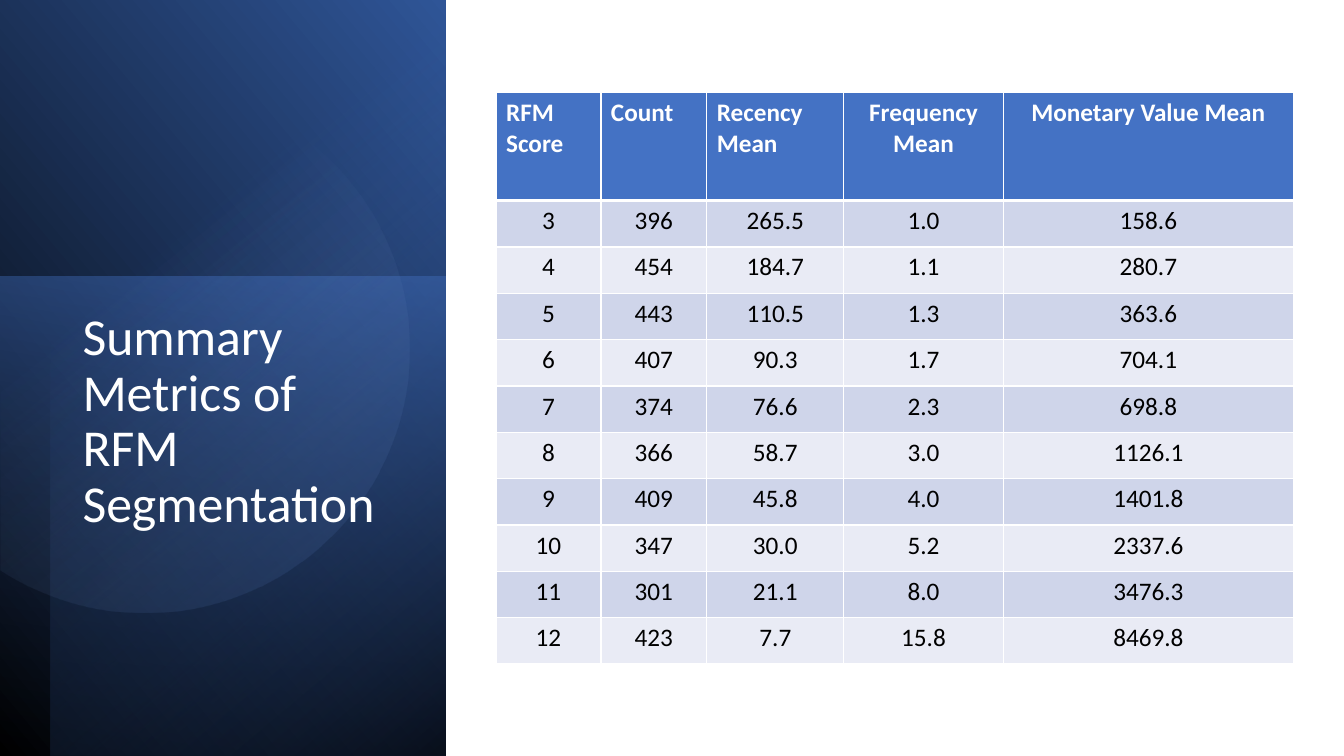
from math import acos, cos, radians, sin

from lxml.etree import SubElement
from pptx import Presentation
from pptx.dml.color import RGBColor
from pptx.enum.shapes import MSO_SHAPE
from pptx.enum.text import MSO_ANCHOR, PP_ALIGN
from pptx.oxml.ns import qn
from pptx.util import Inches, Pt

FONT = "Calibri"
COLORS = {
    "black": "000000", "white": "FFFFFF", "blue": "4472C4", "deep": "2F5597",
    "navy": "203864", "sky": "8FAADC", "band_dark": "CFD5EA", "band_light": "E9EBF5",
}
HEADERS = ["RFM Score", "Count", "Recency Mean", "Frequency Mean", "Monetary Value Mean"]
ROWS = [
    ("3", "396", "265.5", "1.0", "158.6"),
    ("4", "454", "184.7", "1.1", "280.7"),
    ("5", "443", "110.5", "1.3", "363.6"),
    ("6", "407", "90.3", "1.7", "704.1"),
    ("7", "374", "76.6", "2.3", "698.8"),
    ("8", "366", "58.7", "3.0", "1126.1"),
    ("9", "409", "45.8", "4.0", "1401.8"),
    ("10", "347", "30.0", "5.2", "2337.6"),
    ("11", "301", "21.1", "8.0", "3476.3"),
    ("12", "423", "7.7", "15.8", "8469.8"),
]
COL_WIDTHS = [1.04, 1.05, 1.36, 1.58, 2.88]
HEADER_HEIGHT, ROW_HEIGHT = 1.07, 0.46


def rgb(name):
    return RGBColor.from_string(COLORS[name])


def add_color(parent, name, alpha=100):
    color = SubElement(parent, qn("a:srgbClr"), val=COLORS[name])
    if alpha < 100:
        SubElement(color, qn("a:alpha"), val=str(alpha * 1000))


def style_gradient(sp, stops, angle):
    sp.shadow.inherit = False
    sp.line.fill.background()
    sp.fill.gradient()
    grad = sp.fill._xPr.find(qn("a:gradFill"))
    for child in list(grad):
        grad.remove(child)
    stop_list = SubElement(grad, qn("a:gsLst"))
    for pos, name, alpha in stops:
        add_color(SubElement(stop_list, qn("a:gs"), pos=str(pos * 1000)), name, alpha)
    SubElement(grad, qn("a:lin"), ang=str(angle * 60000), scaled="0")


def add_gradient_rect(s, box, rotation, stops, angle, flip=False):
    sp = s.shapes.add_shape(MSO_SHAPE.RECTANGLE, *map(Inches, box))
    sp.rotation = rotation
    if flip:
        sp._element.spPr.find(qn("a:xfrm")).set("flipH", "1")
    style_gradient(sp, stops, angle)


def add_cut_circle(s, center, radius, pivot, rotation, stops, angle):
    cx, cy = center
    px, py = pivot
    turn = radians(rotation)
    half_arc = acos(-cx / radius)
    steps = 120
    points = []
    for i in range(steps + 1):
        a = half_arc * (2 * i / steps - 1)
        dx, dy = cx + radius * cos(a) - px, cy + radius * sin(a) - py
        points.append((Inches(px + dx * cos(turn) + dy * sin(turn)),
                       Inches(py - dx * sin(turn) + dy * cos(turn))))
    builder = s.shapes.build_freeform(*points[0])
    builder.add_line_segments(points[1:], close=True)
    sp = builder.convert_to_shape()
    sp.rotation = rotation
    style_gradient(sp, stops, angle)


def add_title(s, text, box):
    tf = s.shapes.add_textbox(*map(Inches, box)).text_frame
    tf.word_wrap = True
    tf.vertical_anchor = MSO_ANCHOR.TOP
    p = tf.paragraphs[0]
    p.text = text
    p.line_spacing = 0.9
    p.font.name, p.font.size = FONT, Pt(37)
    p.font.color.rgb = rgb("white")


def set_borders(cell, widths):
    tc_pr = cell._tc.get_or_add_tcPr()
    for i, (side, width) in enumerate(widths.items()):
        ln = SubElement(tc_pr, qn(f"a:ln{side}"), w=str(Pt(width)))
        add_color(SubElement(ln, qn("a:solidFill")), "white")
        tc_pr.insert(i, ln)


def fill_cell(cell, text, fill, color, bold, align, widths):
    cell.fill.solid()
    cell.fill.fore_color.rgb = rgb(fill)
    p = cell.text_frame.paragraphs[0]
    p.text = text
    p.alignment = align
    p.font.name, p.font.size, p.font.bold = FONT, Pt(18), bold
    p.font.color.rgb = rgb(color)
    set_borders(cell, widths)


def add_metrics_table(s, left, top):
    height = HEADER_HEIGHT + ROW_HEIGHT * len(ROWS)
    table = s.shapes.add_table(len(ROWS) + 1, len(HEADERS), Inches(left), Inches(top),
                               Inches(sum(COL_WIDTHS)), Inches(height)).table
    for col, width in zip(table.columns, COL_WIDTHS):
        col.width = Inches(width)
    for i, row in enumerate(table.rows):
        row.height = Inches(ROW_HEIGHT if i else HEADER_HEIGHT)
    for c, text in enumerate(HEADERS):
        align = PP_ALIGN.LEFT if c < 3 else PP_ALIGN.CENTER
        fill_cell(table.cell(0, c), text, "blue", "white", True, align,
                  {"L": 1, "R": 1, "T": 1, "B": 3})
    for r, values in enumerate(ROWS, 1):
        band = "band_dark" if r % 2 else "band_light"
        for c, text in enumerate(values):
            fill_cell(table.cell(r, c), text, band, "black", False, PP_ALIGN.CENTER,
                      {"L": 1, "R": 1, "T": 3 if r == 1 else 1, "B": 1})


def main():
    prs = Presentation()
    prs.slide_width, prs.slide_height = Inches(13.33), Inches(7.5)
    s = prs.slides.add_slide(prs.slide_layouts[6])
    add_gradient_rect(s, (-1.55, 1.55, 7.52, 4.42), 90,
                      [(0, "black", 100), (100, "deep", 100)], 310, flip=True)
    add_gradient_rect(s, (-0.17, 2.91, 4.76, 4.42), 270,
                      [(0, "blue", 50), (100, "navy", 0)], 190)
    add_gradient_rect(s, (-1.29, 1.79, 7.5, 3.92), 270,
                      [(0, "black", 59), (69, "blue", 0)], 220, flip=True)
    add_cut_circle(s, (1.43, 3.47), 2.62, (1.81, 3.54), 101.6,
                   [(39, "sky", 0), (100, "deep", 26)], 310)
    add_title(s, "Summary Metrics of RFM Segmentation", (0.72, 3.03, 3.15, 3.36))
    add_metrics_table(s, 4.92, 0.92)
    prs.save("out.pptx")


if __name__ == "__main__":
    main()
